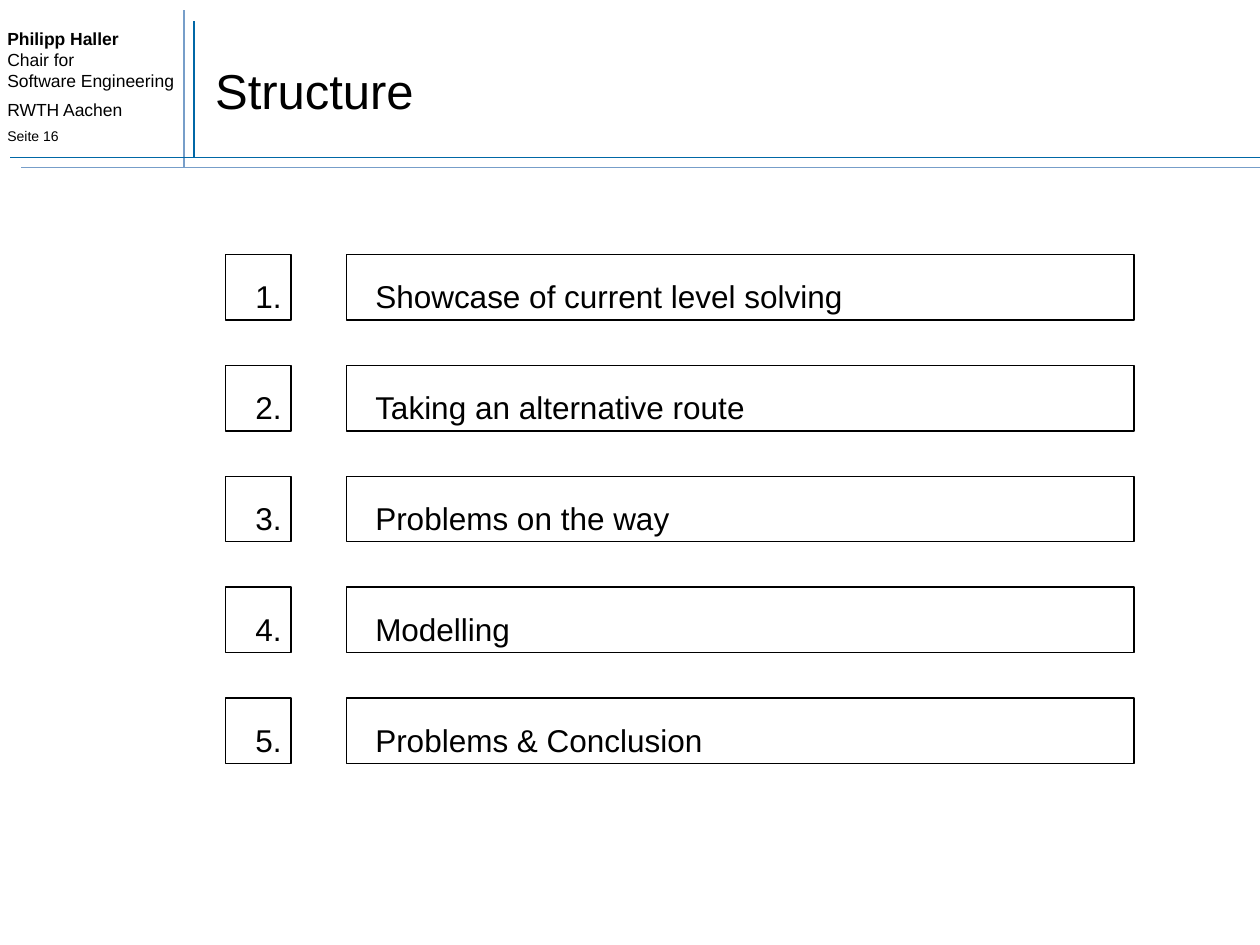
from dataclasses import dataclass
from typing import Any

from lxml import etree
from pptx import Presentation
from pptx import util as u
from pptx.dml.color import RGBColor
from pptx.enum import shapes, text
from pptx.oxml import ns


@dataclass(frozen=True)
class Theme:
    """Colours, font and type sizes of the slide."""
    ink: RGBColor = RGBColor(0, 0, 0)
    dark_rule: RGBColor = RGBColor(0x00, 0x67, 0xA6)
    light_rule: RGBColor = RGBColor(0x77, 0x9E, 0xC9)
    font: str = "Arial"
    title: int = 28
    item: int = 18
    sender: int = 10
    page_number: int = 8
    rule_width: float = 1
    frame_width: float = 0.75


@dataclass(frozen=True)
class Area:
    """A rectangle in inches."""
    left: float
    top: float
    width: float
    height: float

    def lengths(self) -> tuple:
        """Return the four measures as lengths."""
        return tuple(map(u.Inches, (self.left, self.top, self.width, self.height)))

    def moved(self, right: float, down: float) -> "Area":
        """Return the same rectangle shifted."""
        return Area(self.left + right, self.top + down, self.width, self.height)


@dataclass(frozen=True)
class Rule:
    """A straight header line in inches."""
    start: tuple[float, float]
    end: tuple[float, float]
    color: RGBColor


THEME = Theme()
RULES = (
    Rule((1.54, 1.25), (1.54, 0.17), THEME.dark_rule),
    Rule((1.46, 1.33), (1.46, 0.08), THEME.light_rule),
    Rule((0.08, 1.25), (10, 1.25), THEME.dark_rule),
    Rule((0.17, 1.33), (10, 1.33), THEME.light_rule),
)
ITEMS = (
    "Showcase of current level solving",
    "Taking an alternative route",
    "Problems on the way",
    "Modelling",
    "Problems & Conclusion",
)
FIRST_TOP, ITEM_PITCH, BOX_SIZE = 2.02, 0.88, 0.52
NUMBER_LEFT, LABEL_LEFT, LABEL_WIDTH = 1.79, 2.75, 6.25
TEXT_DROP = 0.07


def style(para: Any, size: float) -> None:
    """Set the font of a paragraph."""
    para.font.name = THEME.font
    para.font.size = u.Pt(size)
    para.font.color.rgb = THEME.ink


def add_text(parent: Any, area: Area, words: str, size: float,
             align: Any = text.PP_ALIGN.LEFT) -> None:
    """Add one vertically centred line of text."""
    frame = parent.add_textbox(*area.lengths()).text_frame
    frame.word_wrap = True
    frame.vertical_anchor = text.MSO_ANCHOR.MIDDLE
    para = frame.paragraphs[0]
    para.text = words
    para.alignment = align
    style(para, size)


def add_rule(page: Any, rule: Rule) -> None:
    """Draw one header line."""
    line = page.shapes.add_connector(
        shapes.MSO_CONNECTOR.STRAIGHT, *map(u.Inches, rule.start + rule.end))
    line.line.color.rgb = rule.color
    line.line.width = u.Pt(THEME.rule_width)
    etree.SubElement(line._element.spPr, ns.qn("a:effectLst"))


def add_sender(page: Any) -> None:
    """Add the author, chair and page number block."""
    frame = page.shapes.add_textbox(*Area(-0.04, 0.17, 1.53, 1.06).lengths()).text_frame
    frame.word_wrap = True
    frame.margin_right = u.Inches(0.05)
    para = frame.paragraphs[0]
    style(para, THEME.sender)
    name = para.add_run()
    name.text = "Philipp Haller"
    name.font.bold = True
    para.add_line_break()
    para.add_run().text = "Chair for"
    for words, size, before in (
        ("Software Engineering", THEME.sender, 0),
        ("RWTH Aachen", THEME.sender, 5),
        ("Seite 16", THEME.page_number, 4),
    ):
        para = frame.add_paragraph()
        para.text = words
        para.space_before = u.Pt(before)
        style(para, size)
    for para in frame.paragraphs:
        for span in para.runs:
            span.font.name = THEME.font


def add_framed_text(group: Any, area: Area, words: str, indent: float, align: Any) -> None:
    """Add an outlined box with its text set slightly lower right."""
    box = group.shapes.add_shape(shapes.MSO_SHAPE.RECTANGLE, *area.lengths())
    box.shadow.inherit = False
    box.fill.background()
    box.line.color.rgb = THEME.ink
    box.line.width = u.Pt(THEME.frame_width)
    add_text(group.shapes, area.moved(indent, TEXT_DROP), words, THEME.item, align)


def add_item(page: Any, index: int, words: str) -> None:
    """Add one numbered row as a group."""
    top = FIRST_TOP + index * ITEM_PITCH
    group = page.shapes.add_group_shape()
    add_framed_text(group, Area(LABEL_LEFT, top, LABEL_WIDTH, BOX_SIZE),
                    words, 0.13, text.PP_ALIGN.LEFT)
    add_framed_text(group, Area(NUMBER_LEFT, top, BOX_SIZE, BOX_SIZE),
                    f"{index + 1}.", 0.08, text.PP_ALIGN.CENTER)


def main() -> None:
    """Build and save the slide."""
    deck = Presentation()
    deck.slide_width, deck.slide_height = u.Inches(10), u.Inches(7.5)
    page = deck.slides.add_slide(deck.slide_layouts[6])
    add_sender(page)
    for rule in RULES:
        add_rule(page, rule)
    add_text(page.shapes, Area(1.61, 0.25, 8.27, 0.92), "Structure", THEME.title)
    for index, words in enumerate(ITEMS):
        add_item(page, index, words)
    deck.save("out.pptx")


main()
